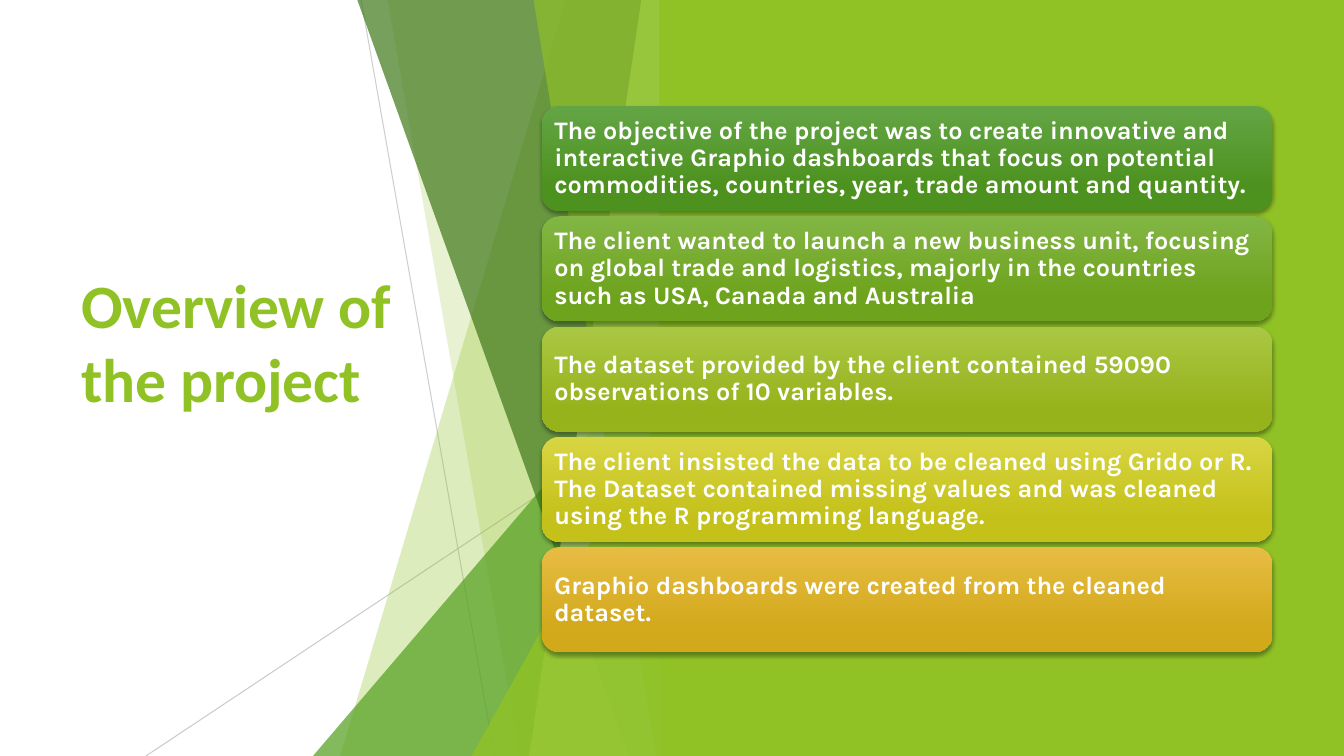
import pptx
import pptx.dml.color
import pptx.enum.shapes
import pptx.enum.text
import pptx.oxml
import pptx.oxml.ns
import pptx.util

RGBColor = pptx.dml.color.RGBColor
SHAPE = pptx.enum.shapes.MSO_SHAPE
MIDDLE = pptx.enum.text.MSO_ANCHOR.MIDDLE

SCALE = 9525  # EMU in one px
PAGE_WIDTH, PAGE_HEIGHT = 1280, 720

WHITE = RGBColor(0xFF, 0xFF, 0xFF)
GRAY = RGBColor(0xBF, 0xBF, 0xBF)
LIME = RGBColor(0x90, 0xC2, 0x26)
GREEN = RGBColor(0x54, 0xA0, 0x21)
FOREST = RGBColor(0x3F, 0x78, 0x19)
PALE = RGBColor(0xC0, 0xE4, 0x74)

# Each card: top colour, bottom colour, wording
CARDS = [
    (RGBColor(0x63, 0xA5, 0x45), RGBColor(0x4D, 0x92, 0x1E),
     "The objective of the project was to create innovative and interactive Graphio dashboards "
     "that focus on potential commodities, countries, year, trade amount and quantity."),
    (RGBColor(0x82, 0xB6, 0x44), RGBColor(0x6E, 0xA3, 0x1D),
     "The client wanted to launch a new business unit, focusing on global trade and logistics, "
     "majorly in the countries such as USA, Canada and Australia"),
    (RGBColor(0xAA, 0xC7, 0x44), RGBColor(0x97, 0xB3, 0x1C),
     "The dataset provided by the client contained 59090 observations of 10 variables."),
    (RGBColor(0xD8, 0xD5, 0x43), RGBColor(0xC4, 0xC1, 0x1A),
     "The client insisted the data to be cleaned using Grido or R. The Dataset contained "
     "missing values and was cleaned using the R programming language."),
    (RGBColor(0xE7, 0xBC, 0x43), RGBColor(0xD2, 0xA9, 0x1B),
     "Graphio dashboards were created from the cleaned dataset."),
]

# Facets, back to front: top-left x, bottom-left x, colour, opacity;
# a triangle has a top y in place of the top-left x
FACETS = [
    ("band", 241, 26, LIME, 30),
    ("band", 71, 197, LIME, 20),
    ("triangle", 320, 0, GREEN, 72),
    ("band", 42, 301, FOREST, 70),
    ("band", 313, 206, PALE, 70),
    ("band", 210, 327, LIME, 65),
    ("triangle", 377, 151, LIME, 80),
]


def px(*lengths):
    return [pptx.util.Emu(length * SCALE) for length in lengths]


def set_values(target, values):
    for name, value in values.items():
        setattr(target, name, value)


def add_alpha(fill_owner, percent):
    colour = fill_owner.find(".//" + pptx.oxml.ns.qn("a:srgbClr"))
    alpha = colour.makeelement(pptx.oxml.ns.qn("a:alpha"), {"val": str(percent * 1000)})
    colour.append(alpha)


def paint(shape, colour, opacity=100):
    shape.shadow.inherit = False
    shape.fill.solid()
    shape.fill.fore_color.rgb = colour
    shape.line.fill.background()
    if opacity < 100:
        add_alpha(shape._element.spPr, opacity)


def write(shape, text, frame_values, font_values, line_spacing=1.0):
    frame = shape.text_frame
    set_values(frame, {"word_wrap": True, "vertical_anchor": MIDDLE, **frame_values})
    para = frame.paragraphs[0]
    set_values(para, {"alignment": pptx.enum.text.PP_ALIGN.LEFT, "line_spacing": line_spacing})
    span = para.add_run()
    span.text = text
    set_values(span.font, font_values)
    return span


def add_thin_line(page, start, end, opacity):
    line = page.shapes.add_connector(
        pptx.enum.shapes.MSO_CONNECTOR.STRAIGHT, *px(*start, *end))
    line.line.color.rgb = GRAY
    line.line.width = pptx.util.Pt(0.75)
    properties = line._element.spPr
    add_alpha(properties, opacity)
    properties.append(properties.makeelement(pptx.oxml.ns.qn("a:effectLst"), {}))


def add_facets(page, left, top, width, height):
    right, bottom = left + width, top + height
    add_thin_line(page, (left + 46, top), (left + 173, bottom), 75)
    add_thin_line(page, (right, top + 387), (left - 159, bottom), 80)
    for kind, upper, lower, colour, opacity in FACETS:
        if kind == "triangle":
            facet = page.shapes.add_shape(
                SHAPE.ISOSCELES_TRIANGLE,
                *px(left + lower, top + upper, width - lower, height - upper))
            facet.adjustments[0] = 1
        else:
            outline = page.shapes.build_freeform(left + upper, top - 1, scale=SCALE)
            outline.add_line_segments(
                [(right, top - 1), (right, bottom), (left + lower, bottom)])
            facet = outline.convert_to_shape()
        paint(facet, colour, opacity)


def add_title(page, left, top, width, height):
    title = page.shapes.add_textbox(*px(left, top, width, height))
    span = write(
        title, "Overview of the project",
        # The deep bottom margin lifts the title above the middle
        {"margin_bottom": px(75)[0]},
        {"name": "Calibri", "size": pptx.util.Pt(44), "bold": True})
    span.font.color.rgb = LIME
    span._r.get_or_add_rPr().set("spc", "-10")


def add_card_shadow(card):
    card.shadow.inherit = False
    effects = card._element.spPr.find(pptx.oxml.ns.qn("a:effectLst"))
    effects.append(pptx.oxml.parse_xml(
        f'<a:outerShdw {pptx.oxml.ns.nsdecls("a")} blurRad="38100" dist="25400" dir="5400000" '
        'rotWithShape="0"><a:srgbClr val="000000"><a:alpha val="35000"/></a:srgbClr>'
        '</a:outerShdw>'))


def add_cards(page, left, top, width, height):
    gap = 5
    card_height = (height + gap) // len(CARDS) - gap
    margins = {f"margin_{side}": px(7)[0] for side in ("left", "top", "right", "bottom")}
    for index, (light, deep, text) in enumerate(CARDS):
        card = page.shapes.add_shape(
            SHAPE.ROUNDED_RECTANGLE,
            *px(left, top + index * (card_height + gap), width, card_height))
        card.line.fill.background()
        card.fill.gradient()
        card.fill.gradient_angle = 270
        for stop, colour, position in zip(card.fill.gradient_stops, (light, deep), (0, 0.78)):
            stop.color.rgb = colour
            stop.position = position
        add_card_shadow(card)
        span = write(
            card, text, margins,
            {"name": "Karla", "size": pptx.util.Pt(18), "bold": True}, line_spacing=0.9)
        span.font.color.rgb = WHITE


def add_overview_slide(deck):
    page = deck.slides.add_slide(deck.slide_layouts[6])
    add_title(page, 68, 145, 372, 430)
    add_facets(page, 298, 0, 342, PAGE_HEIGHT)
    # Green panel behind the cards
    panel = page.shapes.add_shape(SHAPE.RECTANGLE, *px(628, 0, PAGE_WIDTH - 628, PAGE_HEIGHT))
    paint(panel, LIME)
    add_cards(page, 516, 101, 696, 520)


def main():
    deck = pptx.Presentation()
    deck.slide_width, deck.slide_height = px(PAGE_WIDTH, PAGE_HEIGHT)
    add_overview_slide(deck)
    deck.save("out.pptx")


if __name__ == "__main__":
    main()
